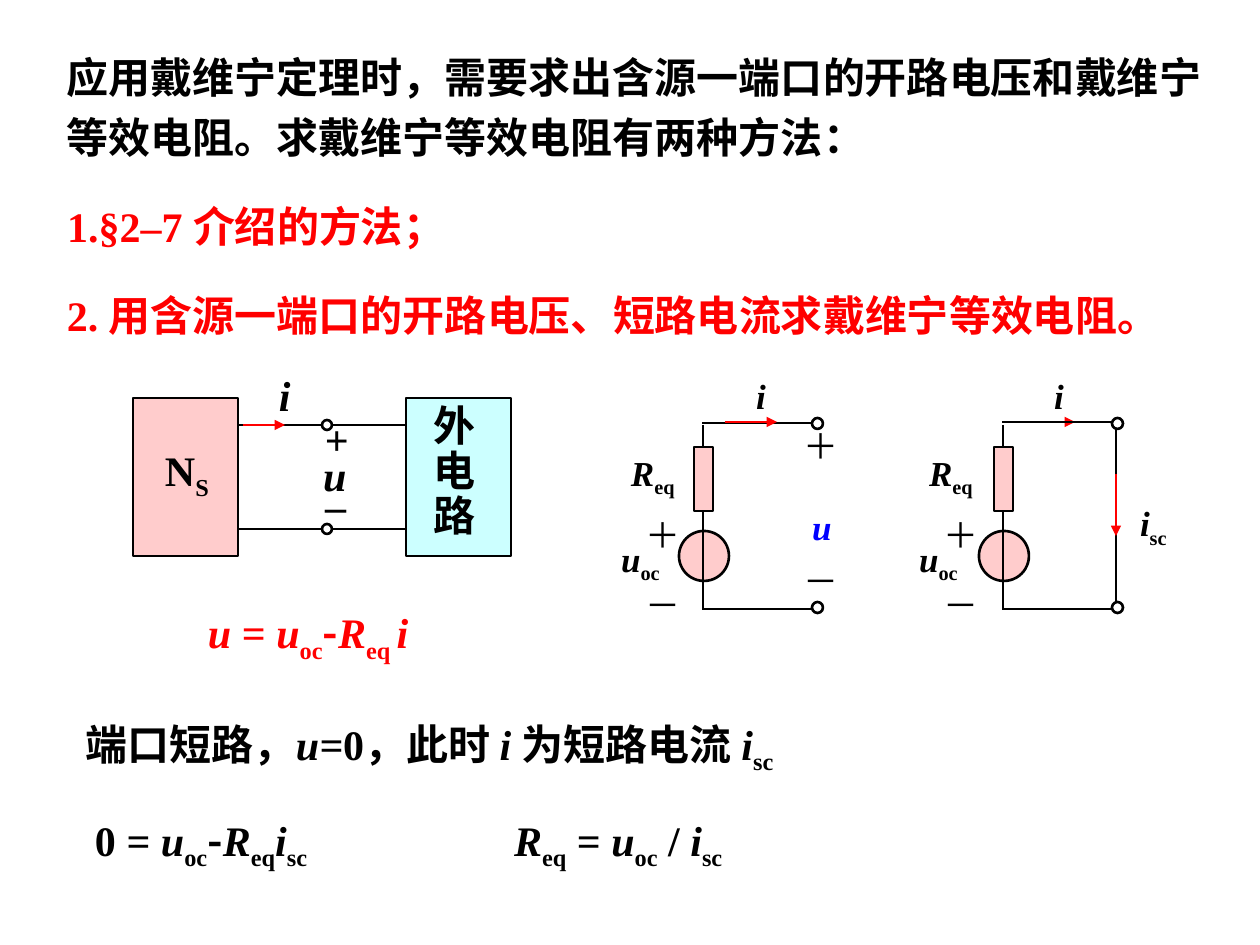
import pptx
import pptx.dml.color
import pptx.enum.shapes
import pptx.enum.text
import pptx.oxml
import pptx.oxml.ns
import pptx.util

EMU_PER_PX = 914400 / 126
RGBColor = pptx.dml.color.RGBColor
BLACK = RGBColor(0x00, 0x00, 0x00)
WHITE = RGBColor(0xFF, 0xFF, 0xFF)
RED = RGBColor(0xFF, 0x00, 0x00)
BLUE = RGBColor(0x00, 0x00, 0xFF)
PINK = RGBColor(0xFF, 0xCC, 0xCC)
CYAN = RGBColor(0xCC, 0xFF, 0xFF)
LATIN_FONT = "Times New Roman"
CJK_FONT = "Noto Sans CJK SC"
RECTANGLE = pptx.enum.shapes.MSO_SHAPE.RECTANGLE
OVAL = pptx.enum.shapes.MSO_SHAPE.OVAL

# Runs are (text, style): "i" italic, "s" subscript, "c" CJK font, "" plain
U_OC = [("u", "i"), ("oc", "s")]
I_SC = [("i", "i"), ("sc", "s")]
R_EQ = [("R", "i"), ("eq", "s")]
MINUS = [("-", "c")]


def px(*lengths):
    return [pptx.util.Emu(round(length * EMU_PER_PX)) for length in lengths]


def add_xml(parent, tag, **attributes):
    element = pptx.oxml.parse_xml(f"<{tag} {pptx.oxml.ns.nsdecls('a')}/>")
    for name, value in attributes.items():
        element.set(name, value)
    parent.append(element)


class Board:
    """Holds the style and the slide; shapes go into the current container."""

    def __init__(self, slide):
        self.slide = slide
        self.shapes = slide.shapes

    def start_group(self):
        self.shapes = self.slide.shapes.add_group_shape().shapes

    def shape(self, kind, left, top, width, height, fill):
        shape = self.shapes.add_shape(kind, *px(left, top, width, height))
        shape.shadow.inherit = False
        shape.fill.solid()
        shape.fill.fore_color.rgb = fill
        shape.line.color.rgb = BLACK
        shape.line.width = pptx.util.Pt(1.5)

    def terminal(self, left, top, size=11):
        self.shape(OVAL, left, top, size, size, WHITE)

    def line(self, x1, y1, x2, y2, color=BLACK, weight=1.5):
        connector = self.shapes.add_connector(
            pptx.enum.shapes.MSO_CONNECTOR.STRAIGHT, *px(x1, y1, x2, y2))
        connector.line.color.rgb = color
        connector.line.width = pptx.util.Pt(weight)
        add_xml(connector._element.spPr, "a:effectLst")
        return connector

    def arrow(self, x1, y1, x2, y2, weight=1.5):
        connector = self.line(x1, y1, x2, y2, RED, weight)
        add_xml(connector.line._get_or_add_ln(), "a:tailEnd", type="triangle")

    def text(self, left, top, width, height, runs, size=24, color=BLACK,
             bold=True, before=0, spacing=None, inset=13, wrap=True):
        box = self.shapes.add_textbox(*px(left, top, width, height))
        frame = box.text_frame
        frame.word_wrap = wrap
        frame.auto_size = pptx.enum.text.MSO_AUTO_SIZE.SHAPE_TO_FIT_TEXT
        frame.margin_left, frame.margin_right = px(inset, inset)
        frame.margin_top, frame.margin_bottom = px(6, 6)
        paragraph = frame.paragraphs[0]
        paragraph.space_before = pptx.util.Pt(before)
        if spacing:
            paragraph.line_spacing = spacing
        for words, style in runs:
            run = paragraph.add_run()
            run.text = words
            font = run.font
            font.size = pptx.util.Pt(size)
            font.bold = bold
            font.italic = style == "i"
            font.color.rgb = color
            font.name = CJK_FONT if style == "c" else LATIN_FONT
            properties = run._r.get_or_add_rPr()
            add_xml(properties, "a:ea", typeface=CJK_FONT)
            if style == "s":
                properties.set("baseline", "-25000")

    def label(self, left, top, width, height, runs, size=20, **options):
        self.text(left, top, width, height, runs, size,
                  before=size * 0.625, inset=11, **options)

    def sign(self, left, top, symbol):
        self.text(left, top, 60, 55, [(symbol, "")], 20, bold=False)


def add_statements(board):
    board.label(197, 601, 265, 69, [("u", "i"), (" = ", "")] + U_OC + MINUS
                + [("R", "i"), ("eq ", "s"), ("i", "i")], 24, color=RED)
    board.label(84, 808, 297, 69,
                [("0 = ", "")] + U_OC + MINUS + R_EQ + I_SC, 24)
    board.text(501, 808, 272, 69,
               R_EQ + [(" = ", "")] + U_OC + [(" / ", "")] + I_SC, before=15)
    board.text(54, 35, 1171, 134, [(
        "应用戴维宁定理时，需要求出含源一端口的开路电压和戴维宁"
        "等效电阻。求戴维宁等效电阻有两种方法：", "")], spacing=1.2)
    board.text(54, 284, 1171, 63, [(
        "2. 用含源一端口的开路电压、短路电流求戴维宁等效电阻。", "")], color=RED)
    board.text(54, 195, 486, 63, [("1.§2–7 介绍的方法；", "")], color=RED)
    board.text(73, 712, 885, 71, [
        ("端口短路，", ""), ("u=", "i"), ("0，此时 ", ""), ("i ", "i"),
        ("为短路电流 ", "")] + I_SC)


def add_source_circuit(board, offset, top, wire_over_arrow):
    """Series source and resistor; offset moves it right, top is its top wire."""
    board.start_group()
    bottom = 609
    text_offset = offset - 2 if offset else 0
    board.shape(OVAL, 679 + offset, 531, 50, 50, PINK)
    top_wire = (819 + offset, top, 702 + offset, top)
    if not wire_over_arrow:
        board.line(*top_wire)
    board.arrow(725 + text_offset, 422, 777 + text_offset, 422)
    if wire_over_arrow:
        board.line(*top_wire)
    board.line(703 + offset, 425, 703 + offset, 610)
    board.line(814 + offset, bottom, 704 + offset, bottom)
    board.shape(RECTANGLE, 694 + offset, 447, 19, 64, PINK)
    for terminal_top in (418, 602):
        board.terminal(812 + offset, terminal_top)
    board.label(620 + text_offset, 445, 83, 59, R_EQ)
    board.label(745 + text_offset, 369, 44, 53, [("i", "i")])
    board.label(610 + text_offset, 531, 79, 59, U_OC)
    board.sign(633 + text_offset, 507, "＋")
    board.sign(633 + text_offset, 577, "－")


def add_port_circuit(board):
    board.start_group()
    wires = (425, 529)
    board.shape(RECTANGLE, 133, 398, 105, 158, PINK)
    for y in wires:
        board.line(238, y, 406, y)
    board.shape(RECTANGLE, 406, 398, 105, 158, CYAN)
    for y in wires:
        board.terminal(322, y - 5, 10)
    board.arrow(243, 425, 285, 425)
    board.label(154, 438, 69, 69, [("N", ""), ("S", "s")], 24)
    board.label(312, 457, 43, 47, [("u", "i")], 24, spacing=0.7)
    board.label(422, 399, 71, 147, [("外电路", "")], 24, spacing=0.9)
    board.text(266, 373, 37, 53, [("i", "i")], spacing=0.8, wrap=False)
    board.text(312, 474, 45, 63, [("–", "")], wrap=False)
    board.text(312, 408, 49, 63, [("+", "")], wrap=False)


def main():
    presentation = pptx.Presentation()
    presentation.slide_width, presentation.slide_height = px(1260, 945)
    board = Board(presentation.slides.add_slide(presentation.slide_layouts[6]))
    add_statements(board)

    add_source_circuit(board, 300, 422, wire_over_arrow=True)
    board.line(1116, 428, 1116, 602)
    board.arrow(1116, 474, 1116, 536, 0.75)
    board.text(1127, 496, 72, 60, I_SC, 20)

    add_source_circuit(board, 0, 423, wire_over_arrow=False)
    board.sign(791, 553, "－")
    board.sign(791, 418, "＋")
    board.text(799, 499, 44, 55, [("u", "i")], 20, BLUE, wrap=False)

    add_port_circuit(board)
    presentation.save("out.pptx")


if __name__ == "__main__":
    main()
